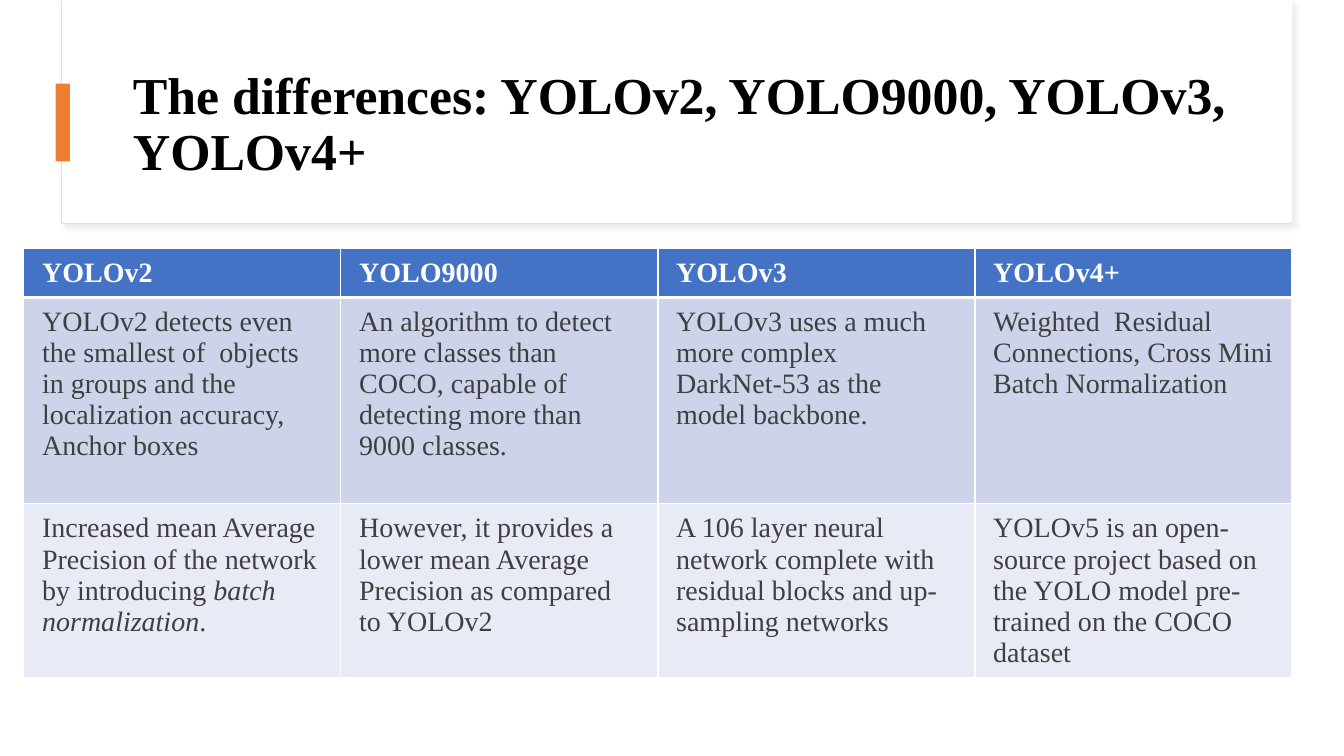
from dataclasses import dataclass
from typing import Any

from lxml.etree import SubElement
from pptx import Presentation
from pptx.dml.color import RGBColor
from pptx.enum.shapes import MSO_SHAPE as SHAPE
from pptx.enum.text import MSO_ANCHOR as ANCHOR, MSO_AUTO_SIZE as AUTO, PP_ALIGN as ALIGN
from pptx.oxml.ns import qn
from pptx.util import Cm, Pt

FONT = "Times New Roman"


@dataclass(frozen=True)
class Block:
    left: float
    top: float
    width: float
    height: float
    fill: str
    line: str = ""
    shadow: str = ""

    def box(self) -> tuple[Cm, Cm, Cm, Cm]:
        return Cm(self.left), Cm(self.top), Cm(self.width), Cm(self.height)


@dataclass(frozen=True)
class Row:
    height: float
    fill: str
    color: str
    cells: tuple[str | tuple[str, ...], ...]
    bold: bool = False
    bottom: float = 1


CARDS = (
    Block(1.55, 0.03, 31.01, 5.61, "FFFFFF", "DEDEDE", "D8D8D8"),
    Block(1.57, 0, 30.99, 5.59, "FFFFFF"),
)
ACCENT = Block(1.4, 2.11, 0.36, 1.96, "ED7D31")
TITLE = "The differences: YOLOv2, YOLO9000, YOLOv3, YOLOv4+"
TITLE_BOX = Block(3.1, 1.52, 28.24, 3.28, "")

TABLE_LEFT, TABLE_TOP, COL_WIDTH = 0.6, 6.25, 7.99
ROWS = (
    Row(1.22, "4472C4", "FFFFFF",
        ("YOLOv2", "YOLO9000", "YOLOv3", "YOLOv4+"), True, 3),
    Row(5.2, "CDD4EA", "3F3F3F", (
        "YOLOv2 detects even the smallest of  objects in groups and the "
        "localization accuracy, Anchor boxes",
        "An algorithm to detect more classes than COCO, capable of detecting "
        "more than 9000 classes.",
        "YOLOv3 uses a much more complex DarkNet-53 as the model backbone.",
        "Weighted  Residual Connections, Cross Mini Batch Normalization",
    )),
    Row(4.39, "E8EBF5", "3F3F3F", (
        ("Increased mean Average Precision of the network by introducing ",
         "batch normalization", "."),
        "However, it provides a lower mean Average Precision as compared to YOLOv2",
        "A 106 layer neural network complete with residual blocks and "
        "up-sampling networks",
        "YOLOv5 is an open-source project based on the YOLO model pre-trained "
        "on the COCO dataset",
    )),
)


def rgb(value: str) -> RGBColor:
    return RGBColor.from_string(value)


def assign(target: Any, values: dict[str, Any]) -> None:
    for name, value in values.items():
        setattr(target, name, value)


def add_color(parent: Any, value: str) -> Any:
    return SubElement(parent, qn("a:srgbClr"), val=value)


def format_font(font: Any, size: float, color: str, bold: bool, italic: bool = False) -> None:
    assign(font, {"name": FONT, "size": Pt(size), "bold": bold, "italic": italic})
    font.color.rgb = rgb(color)


def add_block(s: Any, block: Block) -> None:
    sp = s.shapes.add_shape(SHAPE.RECTANGLE, *block.box())
    sp.shadow.inherit = False
    sp.fill.solid()
    sp.fill.fore_color.rgb = rgb(block.fill)
    if block.line:
        sp.line.color.rgb = rgb(block.line)
        sp.line.width = Pt(0.75)
    else:
        sp.line.fill.background()
    if block.shadow:
        effects = sp.element.spPr.find(qn("a:effectLst"))
        shadow = SubElement(effects, qn("a:outerShdw"), blurRad=str(Pt(4)),
                            dist=str(Pt(3)), dir=str(45 * 60000), rotWithShape="0")
        SubElement(add_color(shadow, block.shadow), qn("a:alpha"), val="50000")


def add_title(s: Any) -> None:
    sp = s.shapes.title
    assign(sp, dict(zip(("left", "top", "width", "height"), TITLE_BOX.box())))
    sp.element.getparent().append(sp.element)
    tf = sp.text_frame
    assign(tf, {"word_wrap": True, "auto_size": AUTO.NONE,
                "vertical_anchor": ANCHOR.MIDDLE,
                "margin_left": Cm(0.25), "margin_right": Cm(0.25),
                "margin_top": Cm(0.13), "margin_bottom": Cm(0.13)})
    p = tf.paragraphs[0]
    assign(p, {"alignment": ALIGN.LEFT, "line_spacing": 0.9})
    r = p.add_run()
    r.text = TITLE
    format_font(r.font, 37, "000000", True)


def add_borders(cell: Any, widths: dict[str, float]) -> None:
    props = cell._tc.get_or_add_tcPr()
    for side, width in widths.items():
        border = SubElement(props, qn(f"a:ln{side}"), w=str(Pt(width)))
        add_color(SubElement(border, qn("a:solidFill")), "FFFFFF")


def fill_cell(cell: Any, row: Row, content: str | tuple[str, ...], top: float) -> None:
    add_borders(cell, {"L": 1, "R": 1, "T": top, "B": row.bottom})
    cell.fill.solid()
    cell.fill.fore_color.rgb = rgb(row.fill)
    assign(cell, {"margin_left": Cm(0.46), "margin_right": Cm(0.46),
                  "margin_top": Cm(0.23), "margin_bottom": Cm(0.23),
                  "vertical_anchor": ANCHOR.TOP})
    p = cell.text_frame.paragraphs[0]
    parts = (content,) if isinstance(content, str) else content
    for i, part in enumerate(parts):
        r = p.add_run()
        r.text = part
        format_font(r.font, 20, row.color, row.bold, italic=i % 2 == 1)


def add_comparison(s: Any) -> None:
    cols = len(ROWS[0].cells)
    table = s.shapes.add_table(
        len(ROWS), cols, Cm(TABLE_LEFT), Cm(TABLE_TOP),
        Cm(COL_WIDTH * cols), Cm(sum(row.height for row in ROWS))).table
    for column in table.columns:
        column.width = Cm(COL_WIDTH)
    top = 1.0
    for i, row in enumerate(ROWS):
        table.rows[i].height = Cm(row.height)
        for j, content in enumerate(row.cells):
            fill_cell(table.cell(i, j), row, content, top)
        top = row.bottom


def main() -> None:
    prs = Presentation()
    assign(prs, {"slide_width": Cm(33.87), "slide_height": Cm(19.05)})
    s = prs.slides.add_slide(prs.slide_layouts[5])
    for card in CARDS:
        add_block(s, card)
    add_title(s)
    add_block(s, ACCENT)
    add_comparison(s)
    prs.save("out.pptx")


if __name__ == "__main__":
    main()
